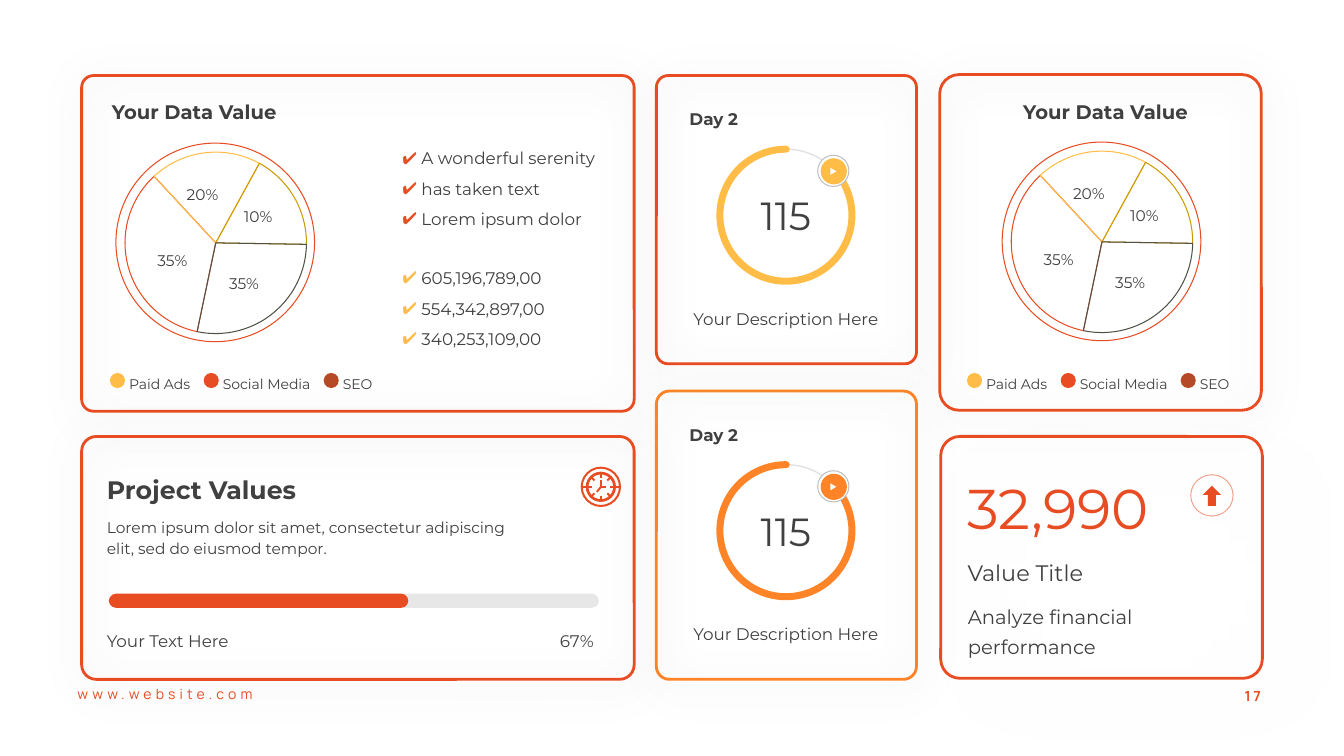
"""Build a dashboard slide of outlined cards with pies, progress rings and key figures."""
from dataclasses import dataclass
from math import cos, radians, sin

from lxml import etree
from pptx import Presentation
from pptx import util as u
from pptx.dml.color import RGBColor
from pptx.enum import shapes, text
from pptx.oxml import ns

RED = RGBColor(0xE8, 0x4C, 0x22)
YELLOW = RGBColor(0xFF, 0xBD, 0x47)
ORANGE = RGBColor(0xFF, 0x84, 0x27)
BROWN = RGBColor(0xB6, 0x49, 0x26)
GOLD = RGBColor(0xCC, 0x99, 0x00)
OLIVE = RGBColor(0x50, 0x50, 0x46)
INK = RGBColor(0x40, 0x40, 0x40)
HEADING = RGBColor(0x3F, 0x3F, 0x3F)
TRACK = RGBColor(0xD8, 0xD8, 0xD8)
RING = RGBColor(0xA0, 0xA1, 0xA3)
RIM = RGBColor(0xBF, 0xBF, 0xBF)
WHITE = RGBColor(0xFF, 0xFF, 0xFF)

KIND = shapes.MSO_SHAPE
ALIGN = text.PP_ALIGN
ANCHOR = text.MSO_ANCHOR
ROOMY = (0.13, 0.07)


@dataclass
class Box:
    left: float
    top: float
    width: float
    height: float

    def lengths(self) -> list:
        return [u.Inches(v) for v in (self.left, self.top, self.width, self.height)]


@dataclass
class Shadow:
    opacity: int
    blur: float
    distance: float
    angle: int


@dataclass
class Card:
    box: Box
    corner: float
    color: RGBColor = RED
    shadow: Shadow = None


@dataclass
class Slice:
    start: float
    end: float
    color: RGBColor
    share: str
    dx: float
    dy: float


@dataclass
class LegendItem:
    label: str
    dx: float
    width: float
    color: RGBColor


SOFT = Shadow(20, 30, 4.5, 67)
WIDE = Shadow(10, 80, 30, 35)
CARDS = [
    Card(Box(6.51, 0.75, 2.58, 2.86), 0.045, RED, SOFT),
    Card(Box(6.51, 3.88, 2.58, 2.86), 0.05, ORANGE, SOFT),
    Card(Box(9.32, 0.74, 3.19, 3.33), 0.06, RED, SOFT),
    Card(Box(9.33, 4.33, 3.19, 2.4), 0.08, RED, WIDE),
    Card(Box(0.81, 0.75, 5.48, 3.33), 0.035, RED, SOFT),
    Card(Box(0.81, 4.33, 5.48, 2.41), 0.06, RED, SOFT),
]
SLICES = [
    Slice(61.1, 136.32, RED, "35%", 0.23, 0.99),
    Slice(136.32, 179.25, YELLOW, "20%", 0.53, 0.34),
    Slice(179.25, 0.57, GOLD, "10%", 1.08, 0.56),
    Slice(0.57, 61.1, OLIVE, "35%", 0.94, 1.22),
]
LEGEND = [
    LegendItem("Paid Ads", 0, 0.96, YELLOW),
    LegendItem("Social Media", 0.93, 1.18, RED),
    LegendItem("SEO", 2.12, 0.62, BROWN),
]


def sub(parent, tag: str, **attributes):
    return etree.SubElement(parent, ns.qn(tag), {k: str(v) for k, v in attributes.items()})


def write(holder, content: str, *, size=12, color=INK, bold=False, font="Montserrat",
          align=ALIGN.LEFT, spacing=1.0, anchor=ANCHOR.TOP, inset=(0.1, 0.05),
          wrap=True, tracking=0, bullet=None) -> None:
    frame = holder.text_frame
    frame.text = content
    frame.word_wrap = wrap
    frame.auto_size = text.MSO_AUTO_SIZE.NONE
    frame.vertical_anchor = anchor
    frame.margin_left = frame.margin_right = u.Inches(inset[0])
    frame.margin_top = frame.margin_bottom = u.Inches(inset[1])
    for line in frame.paragraphs:
        line.alignment, line.line_spacing = align, spacing
        line.space_before = u.Pt(0)
        if bullet is not None:
            props = line._p.get_or_add_pPr()
            props.set("marL", str(u.Inches(0.19)))
            props.set("indent", str(-u.Inches(0.19)))
            sub(sub(props, "a:buClr"), "a:srgbClr", val=bullet)
            sub(props, "a:buChar", char="✔")
        for run in line.runs:
            run.font.name, run.font.size, run.font.bold = font, u.Pt(size), bold
            run.font.color.rgb = color
            if tracking:
                run.font._element.set("spc", str(tracking * 100))


def label(slide, box: Box, content: str, **style) -> None:
    write(slide.shapes.add_textbox(*box.lengths()), content, **style)


def fill_placeholder(holder, box: Box, content: str, **style) -> None:
    holder.left, holder.top, holder.width, holder.height = box.lengths()
    write(holder, content, **style)


def draw(slide, kind, box: Box, *, fill=None, line=None, weight=0.75, adjust=(),
         opacity=100, rotation=0):
    shape = slide.shapes.add_shape(kind, *box.lengths())
    shape.shadow.inherit = False
    shape.rotation = rotation
    for index, value in enumerate(adjust):
        shape.adjustments[index] = value
    if fill is None:
        shape.fill.background()
    else:
        shape.fill.solid()
        shape.fill.fore_color.rgb = fill
    if line is None:
        shape.line.fill.background()
    else:
        shape.line.color.rgb = line
        shape.line.width = u.Pt(weight)
    if opacity < 100:
        for tint in shape.element.spPr.iter(ns.qn("a:srgbClr")):
            sub(tint, "a:alpha", val=opacity * 1000)
    return shape


def draw_card(slide, card: Card) -> None:
    outline = draw(slide, KIND.ROUNDED_RECTANGLE, card.box, line=card.color, weight=2,
                   adjust=[card.corner])
    cast = sub(outline.element.spPr.find(ns.qn("a:effectLst")), "a:outerShdw",
               blurRad=u.Pt(card.shadow.blur), dist=u.Pt(card.shadow.distance),
               dir=card.shadow.angle * 60000, algn="ctr", rotWithShape=0)
    sub(sub(cast, "a:srgbClr", val="000000"), "a:alpha", val=card.shadow.opacity * 1000)


def draw_day(slide, top: float, color: RGBColor) -> None:
    dial = Box(7.14, top + 0.73, 1.31, 1.31)
    draw(slide, KIND.OVAL, dial, line=RING, weight=1, opacity=30)
    arc = draw(slide, KIND.ARC, dial, line=color, weight=5, adjust=[192.72, 162.17])
    arc.element.spPr.find(ns.qn("a:ln")).set("cap", "rnd")
    label(slide, Box(6.48, top + 2.16, 2.63, 0.4), "Your Description Here",
          align=ALIGN.CENTER, spacing=1.5)
    label(slide, Box(6.21, top + 0.18, 1.74, 0.4), "Day 2", bold=True,
          align=ALIGN.CENTER, spacing=1.5)
    draw(slide, KIND.OVAL, Box(8.11, top + 0.79, 0.31, 0.31), fill=WHITE, line=RIM)
    draw(slide, KIND.OVAL, Box(8.14, top + 0.82, 0.26, 0.26), fill=color)
    draw(slide, KIND.ISOSCELES_TRIANGLE, Box(8.23, top + 0.92, 0.07, 0.06), fill=WHITE,
         rotation=90)
    label(slide, Box(7.18, top + 1.1, 1.23, 0.57), "115", size=28, align=ALIGN.CENTER)


def draw_pie(slide, left: float, top: float, legend_left: float) -> None:
    draw(slide, KIND.OVAL, Box(left, top, 1.97, 1.97), fill=WHITE, line=RED)
    for part in SLICES:
        draw(slide, KIND.PIE, Box(left + 0.09, top + 0.09, 1.8, 1.8), line=part.color,
             adjust=[part.start, part.end])
    for part in SLICES:
        label(slide, Box(left + part.dx, top + part.dy, 0.66, 0.34), part.share, size=11,
              align=ALIGN.CENTER, anchor=ANCHOR.MIDDLE, inset=ROOMY)
    for item in LEGEND:
        start = legend_left + item.dx
        label(slide, Box(start + 0.06, 3.62, item.width, 0.34), item.label, size=10,
              spacing=1.2, inset=ROOMY)
        draw(slide, KIND.OVAL, Box(start, 3.7, 0.15, 0.15), fill=item.color)


def draw_stroke(slide, *ends: float) -> None:
    stroke = slide.shapes.add_connector(shapes.MSO_CONNECTOR.STRAIGHT,
                                        *[u.Inches(v) for v in ends])
    stroke.line.color.rgb = RED
    stroke.line.width = u.Pt(1.4)
    sub(stroke.element.spPr, "a:effectLst")


def draw_clock(slide, x: float, y: float) -> None:
    for radius, thickness in ((0.2, 0.05), (0.15, 0.09)):
        draw(slide, KIND.DONUT, Box(x - radius, y - radius, 2 * radius, 2 * radius),
             fill=RED, adjust=[thickness])
    for angle in range(0, 360, 45):
        dx, dy = cos(radians(angle)), sin(radians(angle))
        outer = 0.19 if angle % 180 == 0 else 0.13
        draw_stroke(slide, x + 0.09 * dx, y + 0.09 * dy, x + outer * dx, y + outer * dy)
    for dx, dy in ((0, -0.07), (0.05, 0), (-0.04, 0.05)):
        draw_stroke(slide, x, y, x + dx, y + dy)


def main() -> None:
    deck = Presentation()
    deck.slide_width, deck.slide_height = u.Inches(13.33), u.Inches(7.5)
    slide = deck.slides.add_slide(deck.slide_layouts[3])
    title, benefits, amounts = slide.placeholders
    heading = dict(size=14, color=HEADING, bold=True, spacing=1.3)
    fill_placeholder(title, Box(1.01, 0.87, 2.57, 0.41), "Your Data Value", **heading)
    fill_placeholder(benefits, Box(3.89, 1.32, 2.28, 1.01),
                     "A wonderful serenity\nhas taken text\nLorem ipsum dolor",
                     spacing=1.5, bullet=RED)
    fill_placeholder(amounts, Box(3.89, 2.51, 2.28, 1.01),
                     "605,196,789,00\n554,342,897,00\n340,253,109,00",
                     spacing=1.5, bullet=YELLOW)

    for card in CARDS:
        draw_card(slide, card)
    draw_day(slide, 0.75, YELLOW)
    draw_day(slide, 3.88, ORANGE)
    draw_pie(slide, 1.15, 1.42, 1.09)
    draw_pie(slide, 9.94, 1.41, 9.59)
    label(slide, Box(9.68, 0.87, 2.57, 0.41), "Your Data Value", align=ALIGN.CENTER, **heading)

    label(slide, Box(9.5, 4.45, 2.83, 0.98), "32,990", size=40, color=RED, spacing=1.3)
    label(slide, Box(9.5, 5.42, 2.83, 0.45), "Value Title", size=16, spacing=1.3)
    label(slide, Box(9.5, 5.88, 3.02, 0.71), "Analyze financial performance", size=14,
          spacing=1.3)
    draw(slide, KIND.OVAL, Box(11.81, 4.71, 0.42, 0.41), line=RED, opacity=50)
    draw(slide, KIND.UP_ARROW, Box(11.93, 4.82, 0.18, 0.2), fill=RED, adjust=[0.44, 0.5])

    label(slide, Box(0.93, 4.58, 4.47, 0.5), "Project Values", size=18, bold=True,
          spacing=1.2, inset=ROOMY)
    label(slide, Box(0.93, 4.98, 4.37, 0.7),
          "Lorem ipsum dolor sit amet, consectetur adipiscing elit, sed do eiusmod tempor.",
          size=11, spacing=1.15, inset=(0.13, 0.13))
    draw(slide, KIND.ROUNDED_RECTANGLE, Box(1.61, 5.89, 4.33, 0.14), fill=TRACK,
         adjust=[0.5], opacity=60)
    draw(slide, KIND.ROUNDED_RECTANGLE, Box(1.08, 5.89, 2.97, 0.14), fill=RED, adjust=[0.5])
    label(slide, Box(0.93, 6.19, 2.73, 0.34), "Your Text Here", inset=ROOMY)
    label(slide, Box(4.85, 6.19, 1.17, 0.34), "67%", align=ALIGN.RIGHT, inset=ROOMY)
    draw_clock(slide, 5.96, 4.83)

    footer = dict(size=10, color=RED, font="Manrope")
    label(slide, Box(0.67, 6.75, 2.85, 0.27), "www.website.com", tracking=3, **footer)
    label(slide, Box(12.18, 6.77, 0.49, 0.27), "17", bold=True, tracking=2, wrap=False,
          align=ALIGN.CENTER, anchor=ANCHOR.MIDDLE, **footer)
    deck.save("out.pptx")


if __name__ == "__main__":
    main()
